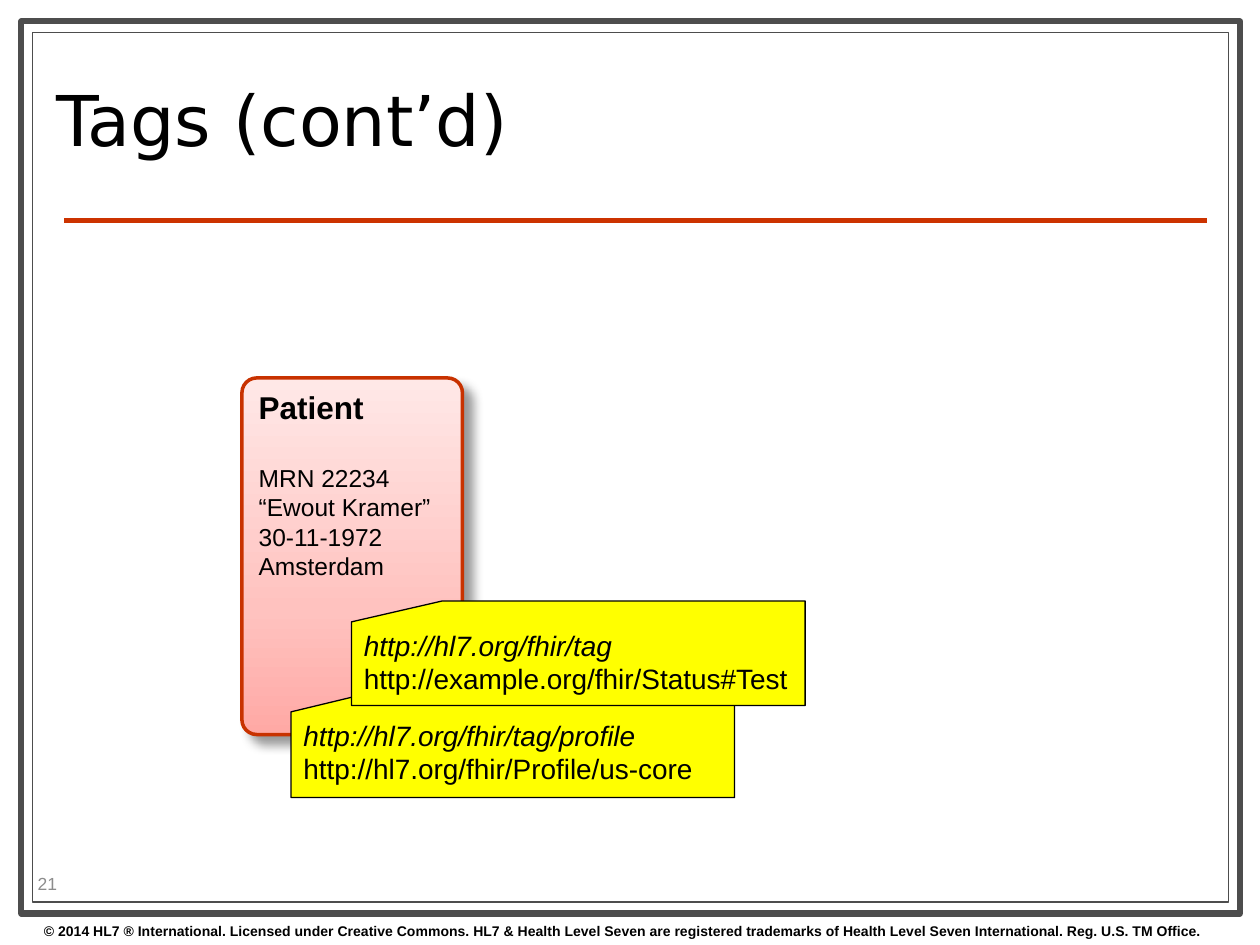
from lxml import etree
from pptx import Presentation
from pptx.dml.color import RGBColor
from pptx.enum.shapes import MSO_CONNECTOR, MSO_SHAPE
from pptx.enum.text import MSO_ANCHOR, PP_ALIGN
from pptx.oxml import parse_xml
from pptx.oxml.ns import nsdecls, qn
from pptx.util import Inches, Pt

RECT = MSO_SHAPE.RECTANGLE
ROUNDED = MSO_SHAPE.ROUNDED_RECTANGLE
TAG_CARD = MSO_SHAPE.FLOWCHART_CARD
STRAIGHT = MSO_CONNECTOR.STRAIGHT
TOP, MIDDLE = MSO_ANCHOR.TOP, MSO_ANCHOR.MIDDLE
LEFT = PP_ALIGN.LEFT

COLORS = {
    "paper": "FFFFFF", "frame": "4D4D4D", "rule": "CC3300", "ink": "000000",
    "number": "8C8C8C", "record_line": "C83200", "tag": "FFFF00",
    "record_low": "FFA9A5", "record_mid": "FFC2BF", "record_high": "FFE8E7",
}
COPYRIGHT = (
    "© 2014 HL7 ® International. Licensed under Creative Commons. "
    "HL7 & Health Level Seven are registered trademarks of "
    "Health Level Seven International. Reg. U.S. TM Office."
)


def rgb(name):
    return RGBColor.from_string(COLORS[name])


def write(frame, text, *, size, color="ink", font="Arial", bold=False,
          italic=False, anchor=TOP, spacing=None, before=0):
    """Add one paragraph to the frame, using its first one while it is empty."""
    frame.word_wrap = True
    frame.vertical_anchor = anchor
    paragraph = frame.paragraphs[0] if not frame.text else frame.add_paragraph()
    paragraph.alignment = LEFT
    if spacing:
        paragraph.line_spacing = spacing
    if before:
        paragraph.space_before = Pt(before)
    run = paragraph.add_run()
    run.text = text
    run.font.name = font
    run.font.size = Pt(size)
    run.font.bold = bold
    run.font.italic = italic
    run.font.color.rgb = rgb(color)


def add_label(slide, box, text, **style):
    label = slide.shapes.add_textbox(*map(Inches, box))
    write(label.text_frame, text, **style)


def add_outlined(slide, kind, box, fill, line, width):
    shape = slide.shapes.add_shape(kind, *map(Inches, box))
    shape.shadow.inherit = False
    shape.fill.solid()
    shape.fill.fore_color.rgb = rgb(fill)
    shape.line.color.rgb = rgb(line)
    shape.line.width = Pt(width)
    return shape


def add_frame(slide, box):
    """Draw the thick page border and the thin one inside it."""
    left, top, width, height = box
    inset = 0.09
    inner = (left + inset, top + inset, width - 2 * inset, height - 2 * inset)
    add_outlined(slide, RECT, box, "paper", "frame", 3.5)
    add_outlined(slide, RECT, inner, "paper", "frame", 0.75)


def add_rule(slide, left, right, y):
    rule = slide.shapes.add_connector(
        STRAIGHT, Inches(left), Inches(y), Inches(right), Inches(y))
    rule.line.color.rgb = rgb("rule")
    rule.line.width = Pt(3)
    etree.SubElement(rule._element.spPr, qn("a:effectLst"))


def shade_record(record):
    """Give the record its three-stop gradient and soft shadow."""
    stops = "".join(
        f'<a:gs pos="{position * 1000}"><a:srgbClr val="{COLORS[name]}"/></a:gs>'
        for position, name in
        ((0, "record_low"), (35, "record_mid"), (100, "record_high")))
    properties = record._element.spPr
    properties.replace(properties.find(qn("a:solidFill")), parse_xml(
        f'<a:gradFill {nsdecls("a")} rotWithShape="1"><a:gsLst>{stops}</a:gsLst>'
        '<a:lin ang="16200000" scaled="0"/></a:gradFill>'))
    properties.find(qn("a:effectLst")).append(parse_xml(
        f'<a:outerShdw {nsdecls("a")} blurRad="{Pt(6)}" dist="{Pt(7)}" '
        f'dir="2700000" algn="tl" rotWithShape="0">'
        f'<a:srgbClr val="{COLORS["ink"]}"><a:alpha val="40000"/></a:srgbClr>'
        '</a:outerShdw>'))


def add_record(slide, box, heading, details):
    record = add_outlined(slide, ROUNDED, box, "paper", "record_line", 2)
    record.adjustments[0] = 0.067
    shade_record(record)
    frame = record.text_frame
    write(frame, heading, size=18, bold=True)
    for index, detail in enumerate(details):
        write(frame, detail, size=14, before=0 if index else 21)


def add_tag(slide, box, scheme, term):
    tag = add_outlined(slide, TAG_CARD, box, "tag", "ink", 0.75)
    write(tag.text_frame, scheme, size=16, italic=True)
    write(tag.text_frame, term, size=16)


def main():
    deck = Presentation()
    deck.slide_width, deck.slide_height = Inches(10), Inches(7.5)
    slide = deck.slides.add_slide(deck.slide_layouts[6])

    add_frame(slide, (0.17, 0.17, 9.67, 7.08))
    add_rule(slide, 0.51, 9.58, 1.75)
    add_label(slide, (0.25, 7.27, 10, 0.23), COPYRIGHT, size=8, bold=True)
    add_label(slide, (0.35, 0.36, 7.17, 1.29), "Tags (cont’d)", size=40,
              font="DejaVu Sans", anchor=MIDDLE, spacing=0.8)
    add_label(slide, (0.2, 6.89, 0.79, 0.24), "21", size=10, color="number",
              anchor=MIDDLE)

    add_record(slide, (1.92, 3, 1.75, 2.83), "Patient",
               ("MRN 22234", "“Ewout Kramer”", "30-11-1972", "Amsterdam"))
    add_tag(slide, (2.31, 5.48, 3.52, 0.85),
            "http://hl7.org/fhir/tag/profile",
            "http://hl7.org/fhir/Profile/us-core")
    add_tag(slide, (2.79, 4.77, 3.6, 0.83),
            "http://hl7.org/fhir/tag",
            "http://example.org/fhir/Status#Test")

    deck.save("out.pptx")


if __name__ == "__main__":
    main()
